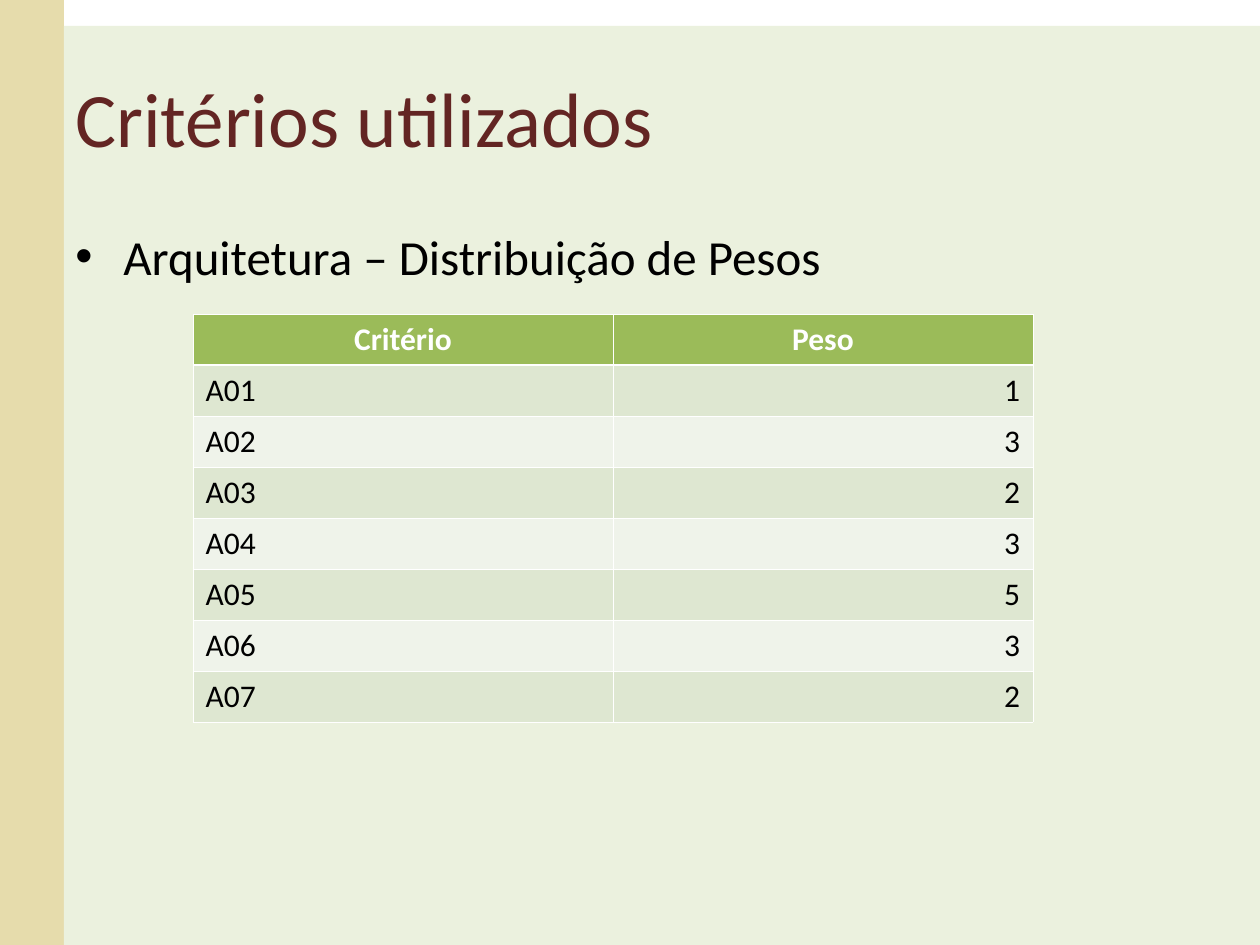
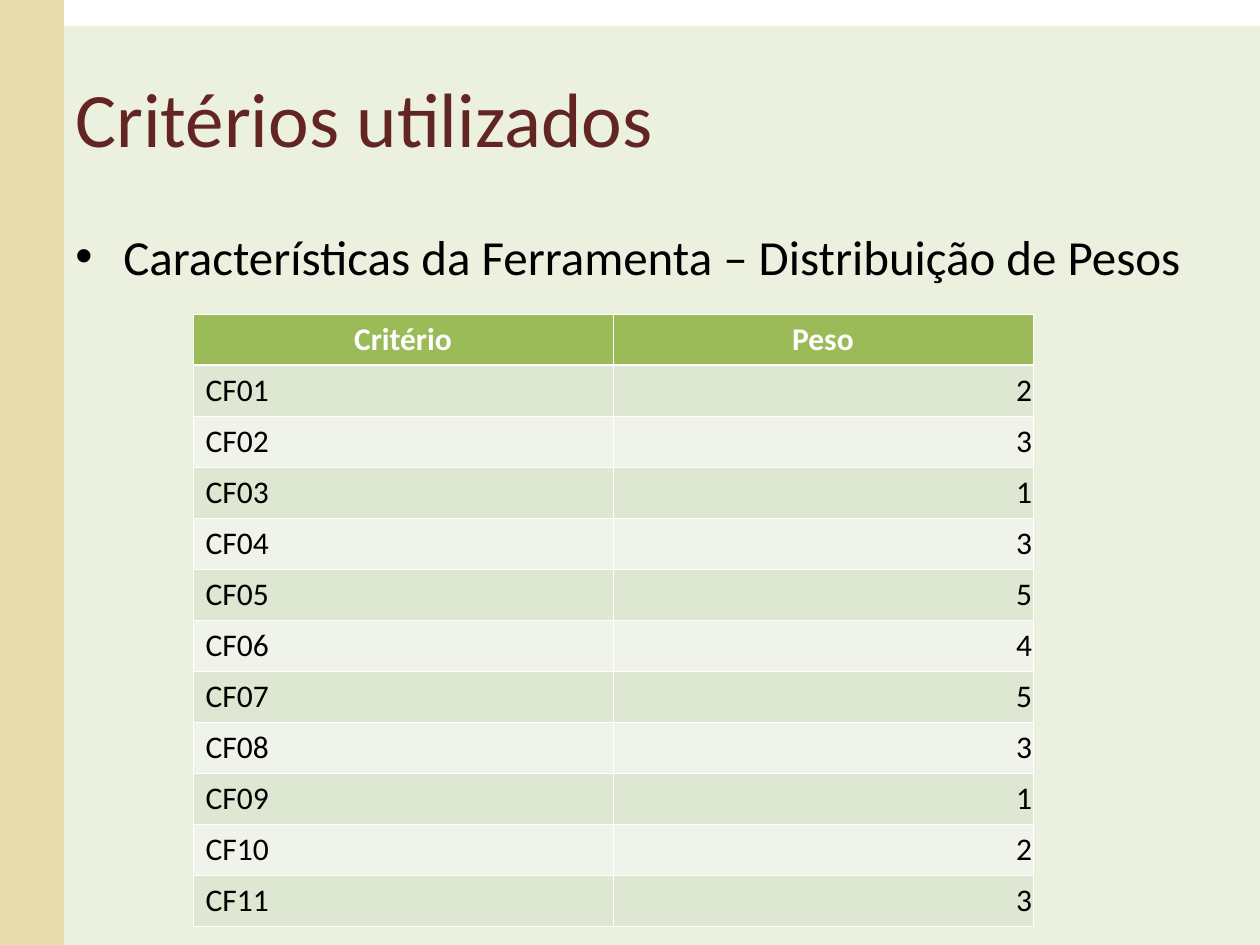
"""Builds two slides that list the weights of the evaluation criteria."""
from lxml.etree import SubElement
from pptx import Presentation
from pptx.dml.color import RGBColor
from pptx.enum.shapes import MSO_SHAPE
from pptx.enum.text import MSO_ANCHOR, PP_ALIGN
from pptx.oxml import parse_xml
from pptx.oxml.ns import nsdecls, qn
from pptx.util import Emu, Pt

PX = 914400 / 126
FONT = "Calibri"
SAND = RGBColor(0xE6, 0xDC, 0xAC)
PALE_GREEN = RGBColor(0xEB, 0xF1, 0xDE)
MAROON = RGBColor(0x63, 0x25, 0x23)
BLACK = RGBColor(0x00, 0x00, 0x00)
WHITE = RGBColor(0xFF, 0xFF, 0xFF)
HEADER_GREEN = RGBColor(0x9B, 0xBB, 0x59)
ROW_TINTS = [RGBColor(0xEF, 0xF3, 0xEA), RGBColor(0xDE, 0xE7, 0xD1)]

BANDS = [((0, 0, 64, 945), SAND), ((64, 26, 1196, 919), PALE_GREEN)]
TITLE = "Critérios utilizados"
HEADINGS = ("Critério", "Peso")
COLUMN_WIDTH, ROW_HEIGHT = 420, 51
BULLET_INDENT = 48
THIN, THICK = 0.45, 1.47

TOPICS = [
    ("Arquitetura – Distribuição de Pesos", "A", [1, 3, 2, 3, 5, 3, 2], 13),
    ("Características da Ferramenta – Distribuição de Pesos", "CF",
     [2, 3, 1, 3, 5, 4, 5, 3, 1, 2, 3], 1),
]


def px(*lengths):
    return [Emu(round(length * PX)) for length in lengths]


def write(paragraph, text, size, color, bold=False):
    paragraph.text = text
    font = paragraph.font
    font.name, font.size, font.bold = FONT, Pt(size), bold
    font.color.rgb = color


presentation = Presentation()
presentation.slide_width, presentation.slide_height = px(1260, 945)

for topic, prefix, weights, weight_margin in TOPICS:
    slide = presentation.slides.add_slide(presentation.slide_layouts[6])
    for place, color in BANDS:
        band = slide.shapes.add_shape(MSO_SHAPE.RECTANGLE, *px(*place))
        band.shadow.inherit = False
        band.fill.solid()
        band.fill.fore_color.rgb = color
        band.line.fill.background()

    title = slide.shapes.add_textbox(*px(63, 38, 1134, 157)).text_frame
    title.word_wrap = True
    title.vertical_anchor = MSO_ANCHOR.MIDDLE
    write(title.paragraphs[0], TITLE, 44, MAROON)

    body = slide.shapes.add_textbox(*px(63, 220, 1134, 624)).text_frame
    body.word_wrap = True
    subject = body.paragraphs[0]
    subject.space_before = Pt(7)
    write(subject, topic, 28, BLACK)
    properties = subject._p.get_or_add_pPr()
    indent = px(BULLET_INDENT)[0]
    properties.set("marL", str(indent))
    properties.set("indent", str(-indent))
    defaults = properties.find(qn("a:defRPr"))
    defaults.addprevious(parse_xml(f'<a:buFont {nsdecls("a")} typeface="Arial"/>'))
    defaults.addprevious(parse_xml(f'<a:buChar {nsdecls("a")} char="•"/>'))

    rows = [HEADINGS] + [
        (f"{prefix}{number:02}", str(weight))
        for number, weight in enumerate(weights, 1)
    ]
    table = slide.shapes.add_table(
        len(rows), 2, *px(193, 314, 2 * COLUMN_WIDTH, len(rows) * ROW_HEIGHT)
    ).table
    table.first_row = table.horz_banding = False
    for column in table.columns:
        column.width = px(COLUMN_WIDTH)[0]
    for r, row in enumerate(rows):
        table.rows[r].height = px(ROW_HEIGHT)[0]
        for c, text in enumerate(row):
            cell = table.cell(r, c)
            header = r == 0
            paragraph = cell.text_frame.paragraphs[0]
            write(paragraph, text, 18, WHITE if header else BLACK, header)
            if header:
                paragraph.alignment = PP_ALIGN.CENTER
            elif c == 1:
                paragraph.alignment = PP_ALIGN.RIGHT
                cell.margin_left, cell.margin_right = px(weight_margin, weight_margin)

            edges = {
                "L": THIN, "R": THIN,
                "T": THICK if r == 1 else THIN,
                "B": THICK if header else THIN,
            }
            cell_properties = cell._tc.get_or_add_tcPr()
            for side, width in edges.items():
                border = SubElement(cell_properties, qn(f"a:ln{side}"), w=str(Pt(width)))
                paint = SubElement(border, qn("a:solidFill"))
                SubElement(paint, qn("a:srgbClr"), val=str(WHITE))
            cell.fill.solid()
            cell.fill.fore_color.rgb = HEADER_GREEN if header else ROW_TINTS[r % 2]

presentation.save("out.pptx")
